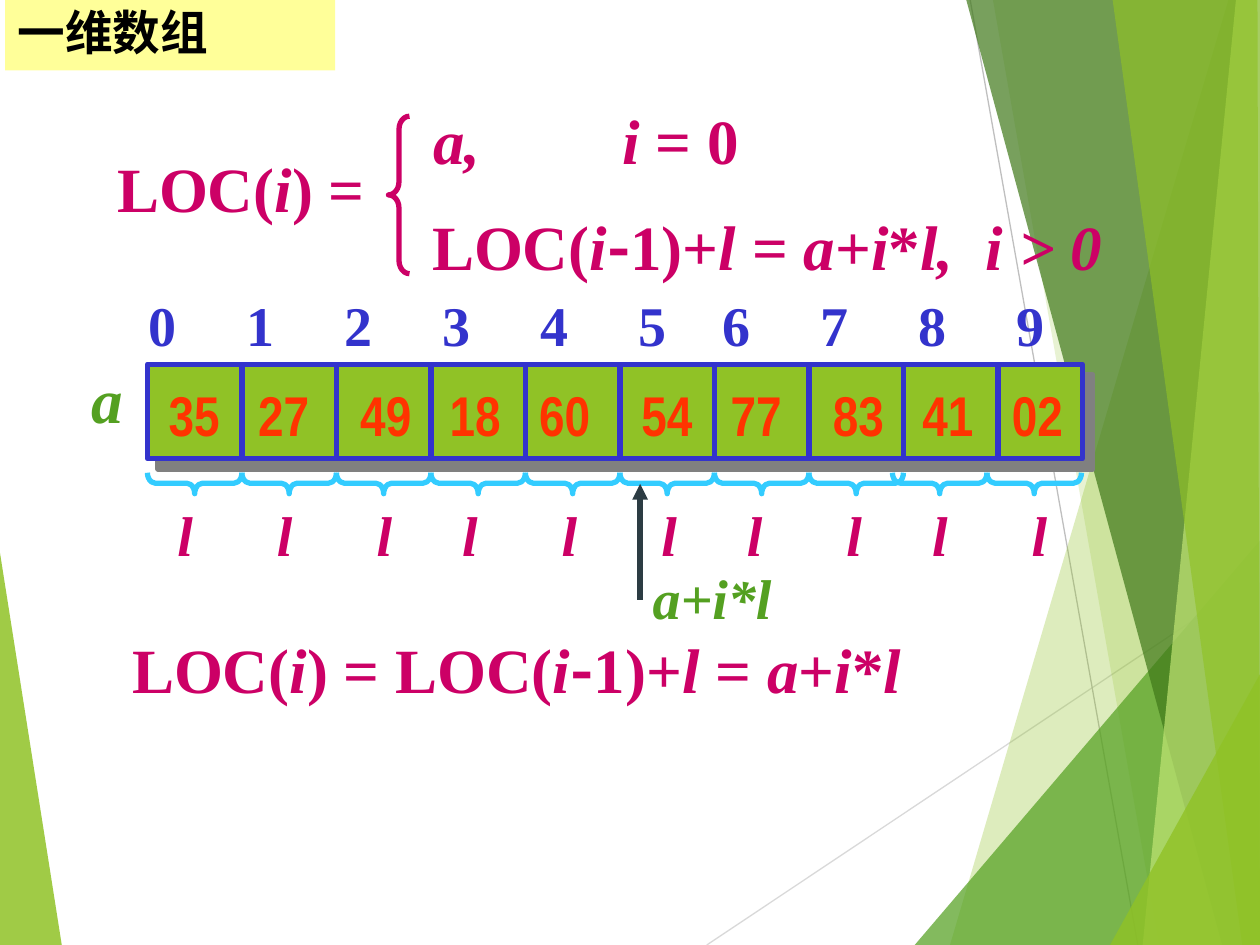
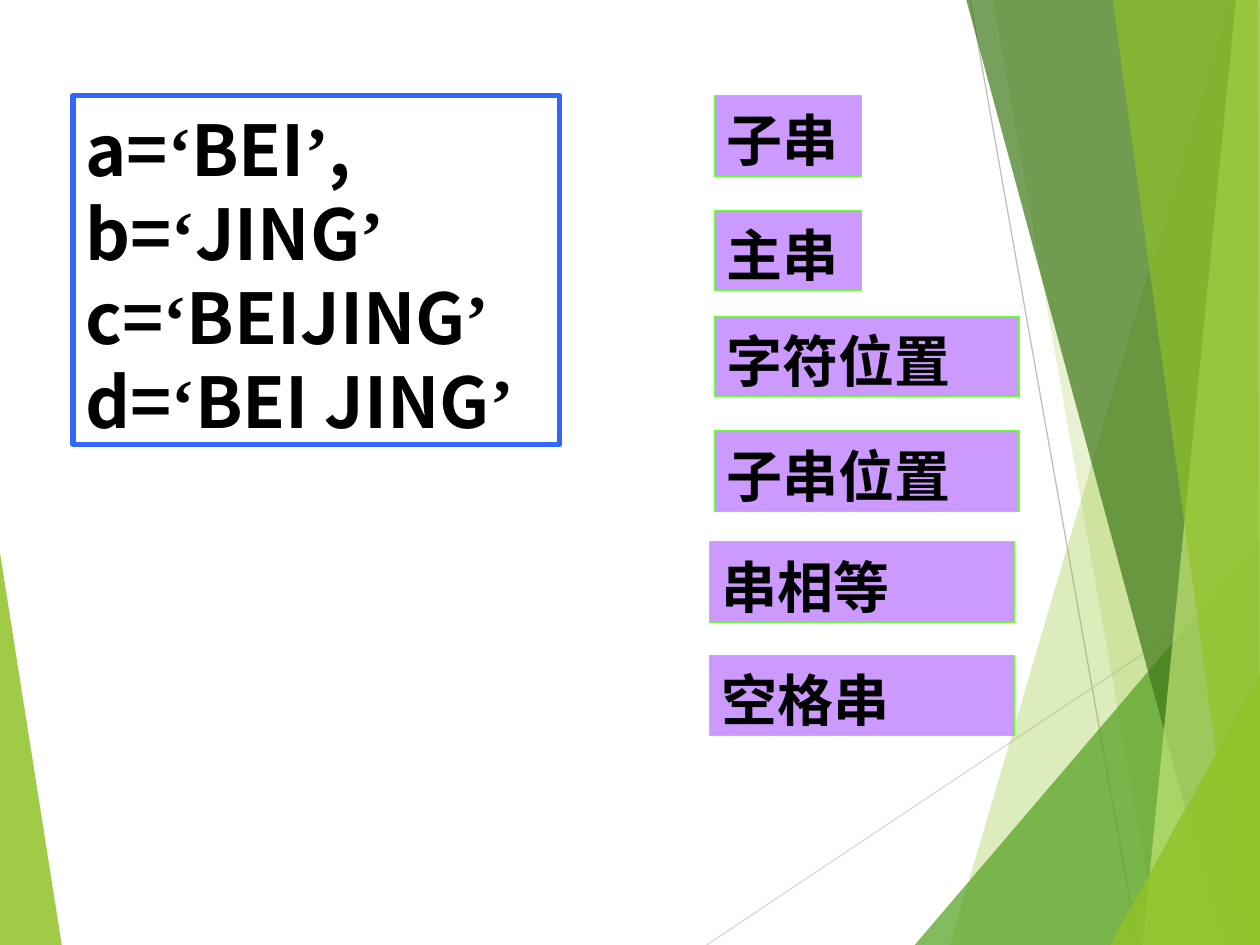
from itertools import accumulate, groupby

from lxml import etree
from pptx import Presentation
from pptx.dml.color import RGBColor
from pptx.enum import shapes, text
from pptx.oxml.ns import qn
from pptx.util import Pt

COLORS = {
    "lime": "90C226", "green": "54A021", "forest": "3F7819", "pale": "C0E474",
    "silver": "D9D9D9", "grey": "BFBFBF", "shadow": "808080", "slate": "2C3C43",
    "yellow": "FFFF99", "navy": "3333CC", "orange": "FF3300", "cyan": "33CCFF",
    "magenta": "CC0066", "black": "000000", "blue": "3366FF",
    "violet": "CC99FF", "neon": "66FF33",
}
SERIF, SANS, NARROW = "Times New Roman", "Noto Sans CJK SC", "Arial Narrow"
WIDTH, HEIGHT = 720, 540

LEFT_WEDGE = ("lime", 85, [(0, 316), (35.3, 540), (0, 540)])
BACKDROP_LINES = [
    ("silver", (403.9, 540), (720, 329)),
    ("grey", (554.4, 0), (650.2, 540)),
]
RIGHT_FACETS = [
    ("lime", 30, [(702, 0), (542.9, 540), (720, 540), (720, 0)]),
    ("lime", 20, [(567.4, 0), (662.4, 540), (720, 540), (720, 0)]),
    ("green", 72, [(522.7, 540), (720, 308.9), (720, 540)]),
    ("forest", 70, [(552.2, 0), (698.4, 540), (720, 540), (720, 0)]),
    ("pale", 70, [(706.3, 0), (653, 540), (720, 540), (720, 0)]),
    ("lime", 65, [(635.8, 0), (709.9, 540), (720, 540), (718.6, 0)]),
    ("lime", 80, [(634.3, 540), (720, 385.2), (720, 540)]),
]

TITLE = "一维数组"
BAR = (84.24, 208.1, 534.24, 54)
CELL = 54
BRACE_WIDTH = 12
LAST_BRACES_SHIFT = -6.25
ARRAY_ROWS = [
    {"items": "0 1 2 3 4 5 6 7 8 9", "at": (77.8, 162.7), "glyph": 16, "space": 8,
     "gaps": [5, 5, 5, 5, 5, 4, 5, 5, 5],
     "format": {"color": "navy", "font": SERIF}},
    {"items": "35 27 49 18 60 54 77 83 41 02", "at": (89.3, 213.8),
     "glyph": 29.2, "space": 7.3, "gaps": [3, 4, 3, 3, 4, 3, 4, 3, 3],
     "format": {"color": "orange", "font": NARROW}},
    {"items": "l l l l l l l l l l", "at": (94.3, 282.2), "glyph": 8.9, "space": 8,
     "gaps": [6, 6, 5, 6, 6, 5, 6, 5, 6],
     "format": {"color": "magenta", "font": SERIF, "italic": True}},
]
FORMULAS = [
    ("LOC(_i_) = LOC(_i_-1)+_l_ = _a_+_i_*_l_", (68.4, 354.2, 604, 50.4), []),
    ("LOC(_i_) =", (59.8, 82.1, 162, 50.4), []),
    ("LOC(_i_-1)+_l_ = _a_+_i_*_l,\ti > 0_", (239.8, 112.3, 414, 50.4), [316.5]),
    ("_a,\ti _= 0", (240.5, 54.7, 234, 50.4), [108]),
]
GREEN_NOTES = [
    ("a+i*l", (365.8, 318.2, 90, 46), 32),
    ("a", (45.4, 202.3, 36, 50.4), 36),
]

STRINGS = ["a=‘BEI’,", "b=‘JING’", "c=‘BEIJING’", "d=‘BEI JING’"]
TERMS = [
    ("子串", 408.2, 54.7, 84.2),
    ("主串", 408.2, 120.2, 84.2),
    ("字符位置", 408.2, 180.7, 174.2),
    ("子串位置", 408.2, 246.2, 174.2),
    ("串相等", 405.4, 309.6, 174.2),
    ("空格串", 405.4, 374.4, 174.2),
]


def rgb(name):
    return RGBColor.from_string(COLORS[name])


def points(values):
    return [Pt(value) for value in values]


def paint(shape, fill=None, line=None, weight=3):
    shape.shadow.inherit = False
    if fill:
        shape.fill.solid()
        shape.fill.fore_color.rgb = rgb(fill)
    else:
        shape.fill.background()
    if line:
        shape.line.color.rgb = rgb(line)
        shape.line.width = Pt(weight)
    else:
        shape.line.fill.background()
    return shape


def write(shape, content, size=32, color="black", font=SANS, italic=False,
          other_font=None, other_chars="", stops=(), spacing=None, middle=False):
    frame = shape.text_frame
    frame.word_wrap = True
    frame.auto_size = text.MSO_AUTO_SIZE.NONE
    frame.vertical_anchor = text.MSO_ANCHOR.MIDDLE if middle else text.MSO_ANCHOR.TOP
    lines = content.split("\n")
    mixed = font == SANS or any(char in content for char in other_chars)
    frame.margin_left = frame.margin_right = Pt(7.2)
    frame.margin_bottom = Pt(3.6)
    frame.margin_top = Pt(3.6 + (0.07 * size if mixed and not middle else 0))
    for _ in lines[1:]:
        frame.add_paragraph()
    if stops:
        for element in shape.element.iter(qn("a:p")):
            tabs = etree.SubElement(element.get_or_add_pPr(), qn("a:tabLst"))
            for stop in stops:
                etree.SubElement(tabs, qn("a:tab"), pos=str(Pt(stop)), algn="l")
    for paragraph, line in zip(frame.paragraphs, lines):
        paragraph.alignment = text.PP_ALIGN.LEFT
        paragraph.line_spacing = spacing or Pt(1.2 * size)
        for index, part in enumerate(line.split("_")):
            for is_other, chars in groupby(part, lambda char: char in other_chars):
                run = paragraph.add_run()
                run.text = "".join(chars)
                run.font.name = other_font if is_other else font
                run.font.size = Pt(size)
                run.font.bold = True
                run.font.italic = italic or index % 2 == 1
                run.font.color.rgb = rgb(color)
    for latin in shape.element.iter(qn("a:latin")):
        latin.addnext(etree.Element(qn("a:ea"), typeface=latin.get("typeface")))


def add_text(slide, content, box, **style):
    write(slide.shapes.add_textbox(*points(box)), content, **style)


def add_box(slide, box, **style):
    shape = slide.shapes.add_shape(shapes.MSO_SHAPE.RECTANGLE, *points(box))
    return paint(shape, **style)


def add_line(slide, start, end, color, weight=3, arrow=False):
    line = slide.shapes.add_connector(
        shapes.MSO_CONNECTOR.STRAIGHT, *points(start + end))
    line.line.color.rgb = rgb(color)
    line.line.width = Pt(weight)
    properties = line.element.spPr
    if arrow:
        etree.SubElement(properties.find(qn("a:ln")), qn("a:tailEnd"), type="triangle")
    etree.SubElement(properties, qn("a:effectLst"))


def add_facet(slide, color, opacity, corners):
    start, *rest = [tuple(points(corner)) for corner in corners]
    builder = slide.shapes.build_freeform(*start)
    builder.add_line_segments(rest, close=True)
    facet = paint(builder.convert_to_shape(), fill=color)
    fill_color = facet.element.spPr.find(".//" + qn("a:srgbClr"))
    etree.SubElement(fill_color, qn("a:alpha"), val=str(opacity * 1000))


def add_brace(slide, left, top, height, color, rotation=0):
    brace = slide.shapes.add_shape(
        shapes.MSO_SHAPE.LEFT_BRACE, *points((left, top, BRACE_WIDTH, height)))
    brace.adjustments[0] = height / 12 / BRACE_WIDTH
    brace.rotation = rotation
    paint(brace, line=color)


def add_slide(presentation, layout):
    slide = presentation.slides.add_slide(presentation.slide_layouts[layout])
    add_facet(slide, *LEFT_WEDGE)
    for color, start, end in BACKDROP_LINES:
        add_line(slide, start, end, color, weight=0.75)
    for facet in RIGHT_FACETS:
        add_facet(slide, *facet)
    return slide


def build_array_slide(presentation):
    slide = add_slide(presentation, 5)
    title = slide.shapes.title
    title.left, title.top, title.width, title.height = points((2.9, 0, 188.6, 40.3))
    title.fill.solid()
    title.fill.fore_color.rgb = rgb("yellow")
    write(title, TITLE, size=27.2, spacing=0.9, middle=True)

    left, top, _, height = BAR
    bar = add_box(slide, BAR, fill="lime", line="navy")
    shadow = etree.SubElement(
        bar.element.spPr.find(qn("a:effectLst")), qn("a:outerShdw"),
        blurRad="0", dist=str(Pt(8.5)), dir="2700000", algn="ctr", rotWithShape="0")
    etree.SubElement(shadow, qn("a:srgbClr"), val=COLORS["shadow"])
    for index in range(1, 10):
        x = left + index * CELL
        add_line(slide, (x, top), (x, top + height), "navy")
    for index in range(10):
        shift = LAST_BRACES_SHIFT if index >= 8 else 0
        x = left + index * CELL + shift + (CELL - BRACE_WIDTH) / 2
        add_brace(slide, x, 249.1, CELL, "cyan", rotation=270)
    for row in ARRAY_ROWS:
        stops = list(accumulate(row["glyph"] + row["space"] * gap for gap in row["gaps"]))
        add_text(slide, row["items"].replace(" ", "\t"), (*row["at"], 540, 46),
                 stops=stops, **row["format"])

    add_brace(slide, 222, 66.4, 90, "magenta")
    for formula, box, stops in FORMULAS:
        add_text(slide, formula, box, size=36, color="magenta", font=SERIF,
                 other_font=SANS, other_chars="-", stops=stops)
    add_line(slide, (365.8, 342.7), (365.8, 276.5), "slate", arrow=True)
    for note, box, size in GREEN_NOTES:
        add_text(slide, note, box, size=size, color="green", font=SERIF, italic=True)


def build_string_slide(presentation):
    slide = add_slide(presentation, 6)
    strings = add_box(slide, (41.8, 54.7, 277.9, 199.4), line="blue")
    write(strings, "\n".join(STRINGS), size=40, other_font=SERIF, other_chars="‘’")
    for term, left, top, width in TERMS:
        box = add_box(slide, (left, top, width, 46), fill="violet", line="neon", weight=0.75)
        write(box, term)


def main():
    presentation = Presentation()
    presentation.slide_width, presentation.slide_height = points((WIDTH, HEIGHT))
    build_array_slide(presentation)
    build_string_slide(presentation)
    presentation.save("out.pptx")


if __name__ == "__main__":
    main()
